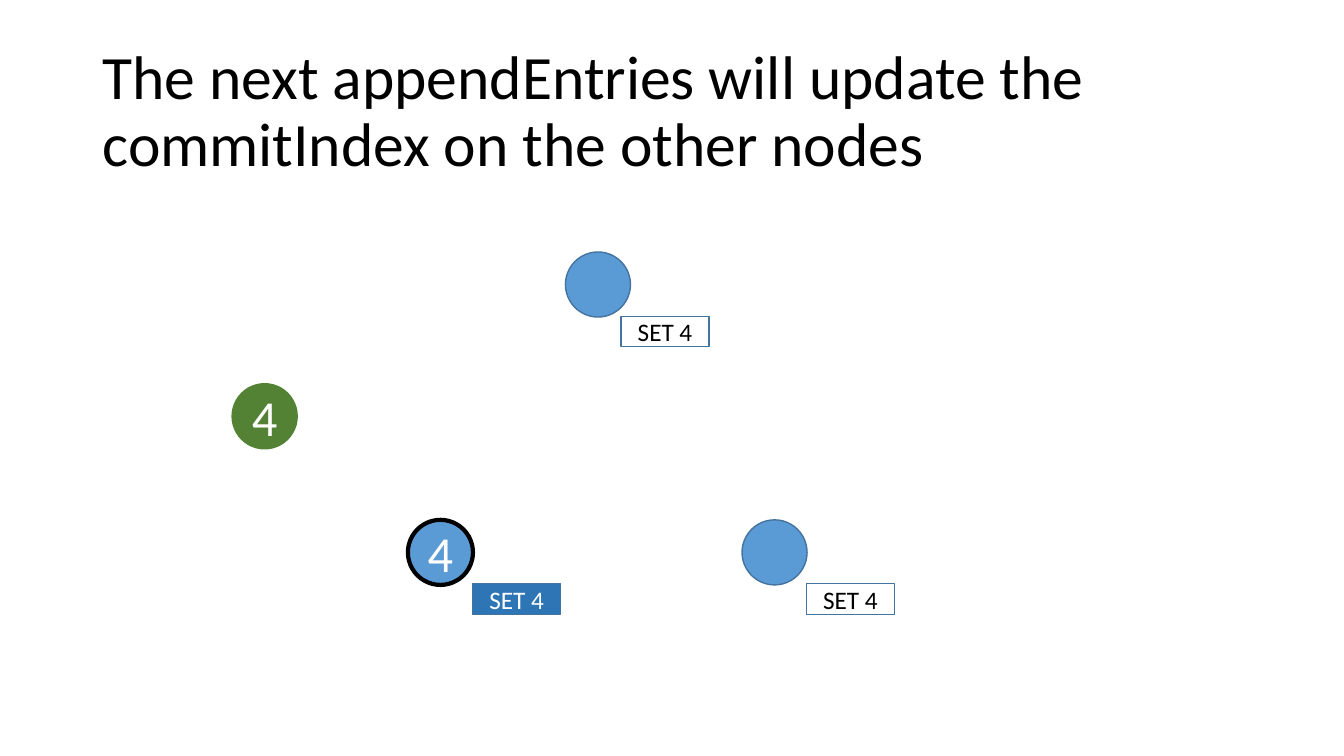
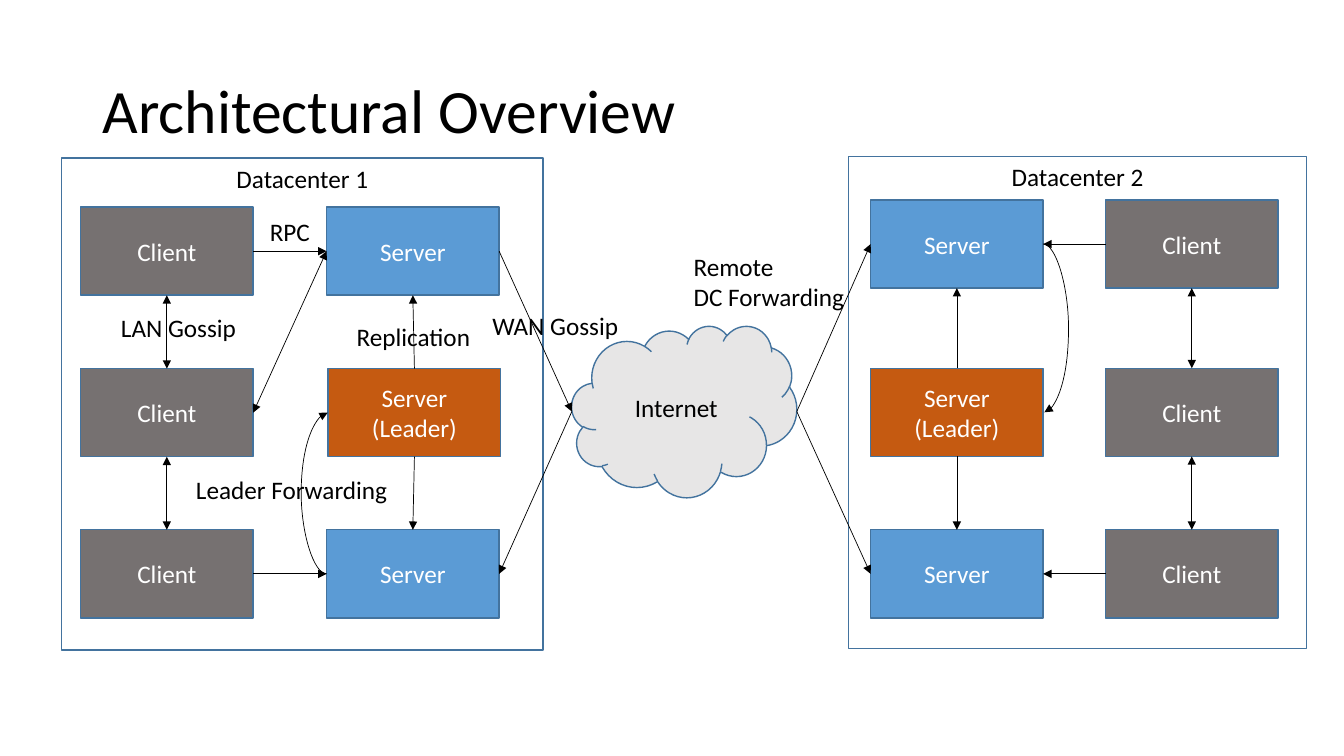
from dataclasses import dataclass

from lxml.etree import SubElement
from pptx import Presentation
from pptx.dml.color import RGBColor
from pptx.enum.dml import MSO_LINE_DASH_STYLE
from pptx.enum.shapes import MSO_CONNECTOR, MSO_SHAPE
from pptx.enum.text import MSO_ANCHOR, MSO_AUTO_SIZE, PP_ALIGN
from pptx.oxml.ns import qn
from pptx.util import Cm, Pt


@dataclass(frozen=True)
class Theme:
    """Colours, font and type sizes of the presentation."""
    font: str = "Calibri"
    title_size: Pt = Pt(44)
    value_size: Pt = Pt(36)
    text_size: Pt = Pt(18)
    black: RGBColor = RGBColor(0x00, 0x00, 0x00)
    white: RGBColor = RGBColor(0xFF, 0xFF, 0xFF)
    blue: RGBColor = RGBColor(0x5B, 0x9B, 0xD5)
    deep_blue: RGBColor = RGBColor(0x2E, 0x75, 0xB6)
    outline: RGBColor = RGBColor(0x43, 0x73, 0x9E)
    green: RGBColor = RGBColor(0x54, 0x82, 0x35)
    orange: RGBColor = RGBColor(0xC5, 0x5A, 0x11)
    gray: RGBColor = RGBColor(0x76, 0x71, 0x71)
    cloud: RGBColor = RGBColor(0xE7, 0xE6, 0xE6)


@dataclass(frozen=True)
class Box:
    """A region in centimetres."""
    x: float
    y: float
    w: float
    h: float

    def emu(self):
        """Return left, top, width and height as lengths."""
        return Cm(self.x), Cm(self.y), Cm(self.w), Cm(self.h)


THEME = Theme()
TITLE_BOX = Box(2.33, 1.01, 29.21, 3.68)
TITLE_FRAME = {"vertical_anchor": MSO_ANCHOR.MIDDLE, "word_wrap": True,
               "auto_size": MSO_AUTO_SIZE.NONE}
LABEL_FRAME = {"word_wrap": False, "auto_size": MSO_AUTO_SIZE.SHAPE_TO_FIT_TEXT}
TOP, LEFT, BOTTOM, RIGHT = range(4)


def apply(target, formats):
    """Set every attribute of a dict of format values."""
    for attribute, value in formats.items():
        setattr(target, attribute, value)


def write(frame, text, size, color, align, spacing=None):
    """Fill a text frame, one paragraph per line of text."""
    frame.text = text
    for paragraph in frame.paragraphs:
        apply(paragraph, {"alignment": align, "line_spacing": spacing})
        apply(paragraph.font, {"name": THEME.font, "size": size})
        paragraph.font.color.rgb = color


def add_titled_slide(deck, title):
    """Add a slide with the shared title style."""
    slide = deck.slides.add_slide(deck.slide_layouts[5])
    heading = slide.shapes.title
    apply(heading, dict(zip(("left", "top", "width", "height"), TITLE_BOX.emu())))
    apply(heading.text_frame, TITLE_FRAME)
    write(heading.text_frame, title, THEME.title_size, THEME.black, PP_ALIGN.LEFT, 0.9)
    return slide


def add_block(slide, kind, box, text="", fill=None, ink=THEME.white, outline=THEME.outline,
              weight=1, size=THEME.text_size, anchor=MSO_ANCHOR.MIDDLE):
    """Add an outlined shape with centred text; no fill means transparent."""
    block = slide.shapes.add_shape(kind, *box.emu())
    block.shadow.inherit = False
    if fill is None:
        block.fill.background()
    else:
        block.fill.solid()
        block.fill.fore_color.rgb = fill
    block.line.color.rgb = outline
    block.line.width = Pt(weight)
    block.text_frame.vertical_anchor = anchor
    if text:
        write(block.text_frame, text, size, ink, PP_ALIGN.CENTER)
    return block


def add_label(slide, box, text):
    """Add an unwrapped caption."""
    frame = slide.shapes.add_textbox(*box.emu()).text_frame
    apply(frame, LABEL_FRAME)
    write(frame, text, THEME.text_size, THEME.black, PP_ALIGN.LEFT)


def side_point(block, side):
    """Return the middle of one side of a shape."""
    x = block.left + {LEFT: 0, RIGHT: block.width}.get(side, block.width // 2)
    y = block.top + {TOP: 0, BOTTOM: block.height}.get(side, block.height // 2)
    return x, y


def style_arrow(arrow, both_ways):
    """Make a connector a thin black arrow without shadow."""
    apply(arrow.line, {"width": Pt(0.5), "dash_style": MSO_LINE_DASH_STYLE.SOLID})
    arrow.line.color.rgb = THEME.black
    properties = arrow.element.spPr
    line = properties.find(qn("a:ln"))
    for end in ("a:headEnd", "a:tailEnd") if both_ways else ("a:tailEnd",):
        SubElement(line, qn(end), type="triangle")
    SubElement(properties, qn("a:effectLst"))


def link(slide, source, source_side, target, target_side, both_ways=False):
    """Join two shapes by a straight arrow, glued to rectangles."""
    arrow = slide.shapes.add_connector(
        MSO_CONNECTOR.STRAIGHT, *side_point(source, source_side),
        *side_point(target, target_side))
    if source.auto_shape_type == MSO_SHAPE.RECTANGLE:
        arrow.begin_connect(source, source_side)
    if target.auto_shape_type == MSO_SHAPE.RECTANGLE:
        arrow.end_connect(target, target_side)
    style_arrow(arrow, both_ways)


def curve(slide, source, target, side, bulge):
    """Join the same side of two stacked shapes by an arrow bulging sideways."""
    span = Cm(0.03)
    x, y = side_point(source, side)
    arrow = slide.shapes.add_connector(
        MSO_CONNECTOR.CURVE, x, y, x + span, side_point(target, side)[1])
    guides = arrow.element.spPr.find(qn("a:prstGeom")).get_or_add_avLst()
    SubElement(guides, qn("a:gd"), name="adj1", fmla=f"val {round(Cm(bulge) / span * 100000)}")
    style_arrow(arrow, False)


def add_node(slide, x, y, value="", fill=THEME.blue, outline=THEME.outline, weight=1):
    """Add a round cluster node."""
    add_block(slide, MSO_SHAPE.OVAL, Box(x, y, 1.64, 1.64), value, fill, outline=outline,
              weight=weight, size=THEME.value_size)


def add_log_entry(slide, x, y, fill=THEME.white, ink=THEME.black):
    """Add the log entry beside a node."""
    add_block(slide, MSO_SHAPE.RECTANGLE, Box(x, y, 2.22, 0.77), "SET 4", fill, ink)


def build_commit_slide(deck):
    """Show a leader that has committed and followers that have not."""
    slide = add_titled_slide(
        deck, "The next appendEntries will update the commitIndex on the other nodes")
    add_node(slide, 5.85, 9.67, "4", THEME.green, THEME.green)
    add_log_entry(slide, 11.91, 14.71, THEME.deep_blue, THEME.white)
    add_log_entry(slide, 15.65, 7.97)
    add_log_entry(slide, 20.32, 14.71)
    add_node(slide, 10.28, 13.1, "4", outline=THEME.black, weight=3)
    add_node(slide, 14.25, 6.35)
    add_node(slide, 18.7, 13.1)


def add_datacenter(slide, box, title, client_dx, server_dx, rows, leader_shift=0):
    """Draw a datacenter in its box; return its clients and servers, top to bottom."""
    add_block(slide, MSO_SHAPE.RECTANGLE, box, title, ink=THEME.black, anchor=MSO_ANCHOR.TOP)

    def machine(dx, dy, text, fill):
        """Add one machine at an offset within the datacenter."""
        place = Box(box.x + dx, box.y + dy, 4.35, 2.22)
        return add_block(slide, MSO_SHAPE.RECTANGLE, place, text, fill)

    clients = [machine(client_dx, dy, "Client", THEME.gray) for dy in rows]
    top, middle, bottom = rows
    servers = [machine(server_dx, top, "Server", THEME.blue),
               machine(server_dx + leader_shift, middle, "Server\n(Leader)", THEME.orange),
               machine(server_dx, bottom, "Server", THEME.blue)]

    for upper, lower in zip(clients, clients[1:]):
        link(slide, upper, BOTTOM, lower, TOP, both_ways=True)
    link(slide, servers[1], TOP, servers[0], BOTTOM)
    link(slide, servers[1], BOTTOM, servers[2], TOP)
    outward, inward = (RIGHT, LEFT) if client_dx < server_dx else (LEFT, RIGHT)
    for row in (0, 2):
        link(slide, clients[row], outward, servers[row], inward)
    return clients, servers


def build_architecture_slide(deck):
    """Show two datacenters joined through the internet."""
    slide = add_titled_slide(deck, "Architectural Overview")
    west_clients, west = add_datacenter(
        slide, Box(1.55, 3.98, 12.14, 12.4), "Datacenter 1", 0.48, 6.68,
        (1.24, 5.31, 9.37), leader_shift=0.04)
    _, east = add_datacenter(
        slide, Box(21.39, 3.95, 11.53, 12.4), "Datacenter 2", 6.47, 0.55,
        (1.09, 5.33, 9.4))
    internet = add_block(slide, MSO_SHAPE.CLOUD, Box(14.41, 8.21, 5.67, 4.32), "Internet",
                         THEME.cloud, THEME.black)

    link(slide, west[0], RIGHT, internet, LEFT)
    link(slide, internet, LEFT, west[2], RIGHT)
    for server in (east[0], east[2]):
        link(slide, internet, RIGHT, server, LEFT)
    link(slide, west_clients[1], RIGHT, west[0], LEFT, both_ways=True)
    curve(slide, west[2], west[1], LEFT, -0.64)
    curve(slide, east[0], east[1], RIGHT, 0.64)

    for x, y, w, h, text in (
            (2.8, 7.74, 3.45, 1.03, "LAN Gossip"),
            (12.16, 7.69, 3.71, 1.03, "WAN Gossip"),
            (17.23, 6.2, 4.34, 1.8, "Remote\nDC Forwarding"),
            (4.69, 11.82, 5.38, 1.03, "Leader Forwarding"),
            (6.55, 5.32, 1.52, 1.03, "RPC"),
            (8.74, 7.97, 3.4, 1.03, "Replication")):
        add_label(slide, Box(x, y, w, h), text)


def main():
    """Build and save the presentation."""
    deck = Presentation()
    apply(deck, {"slide_width": Cm(33.87), "slide_height": Cm(19.05)})
    build_commit_slide(deck)
    build_architecture_slide(deck)
    deck.save("out.pptx")


main()
